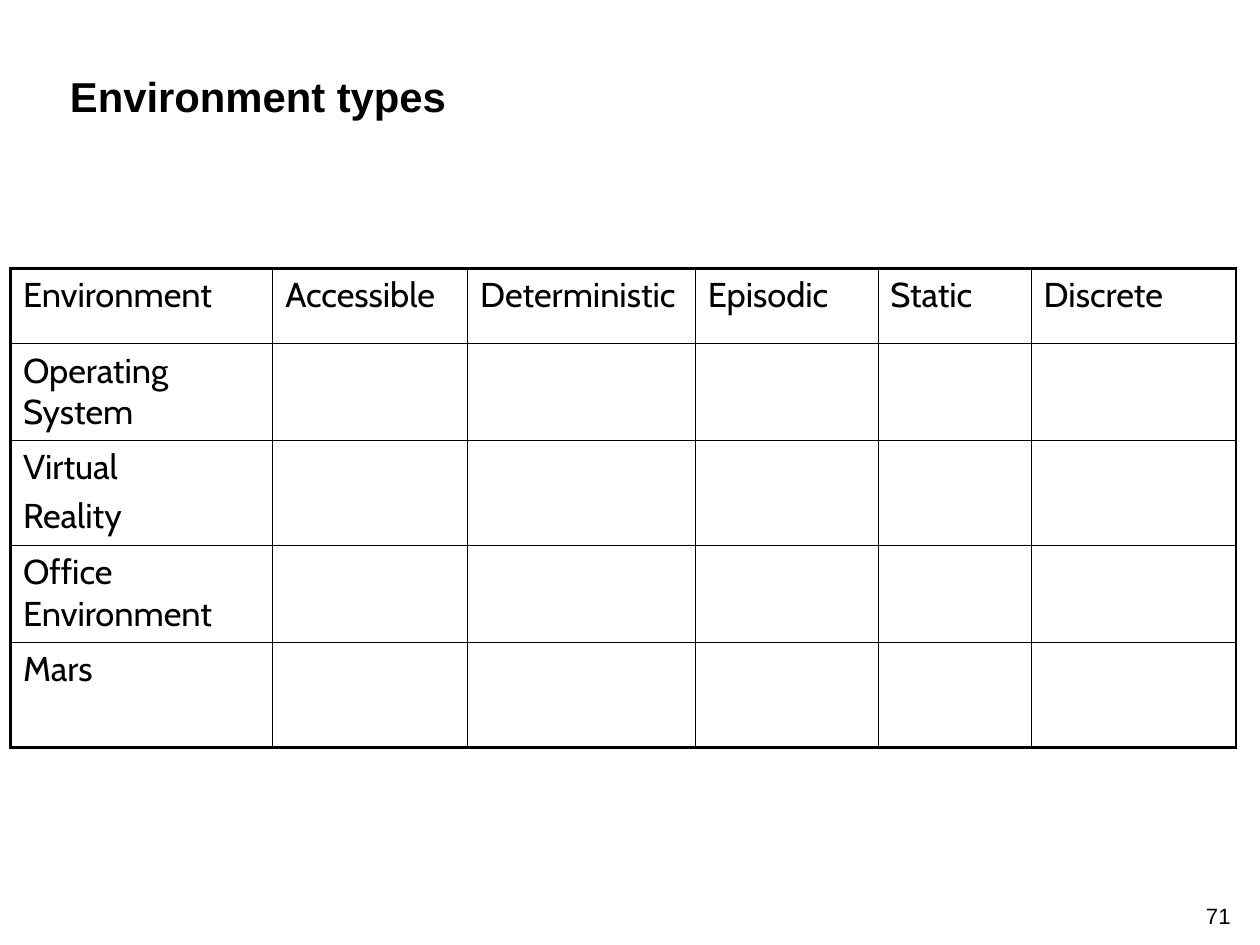
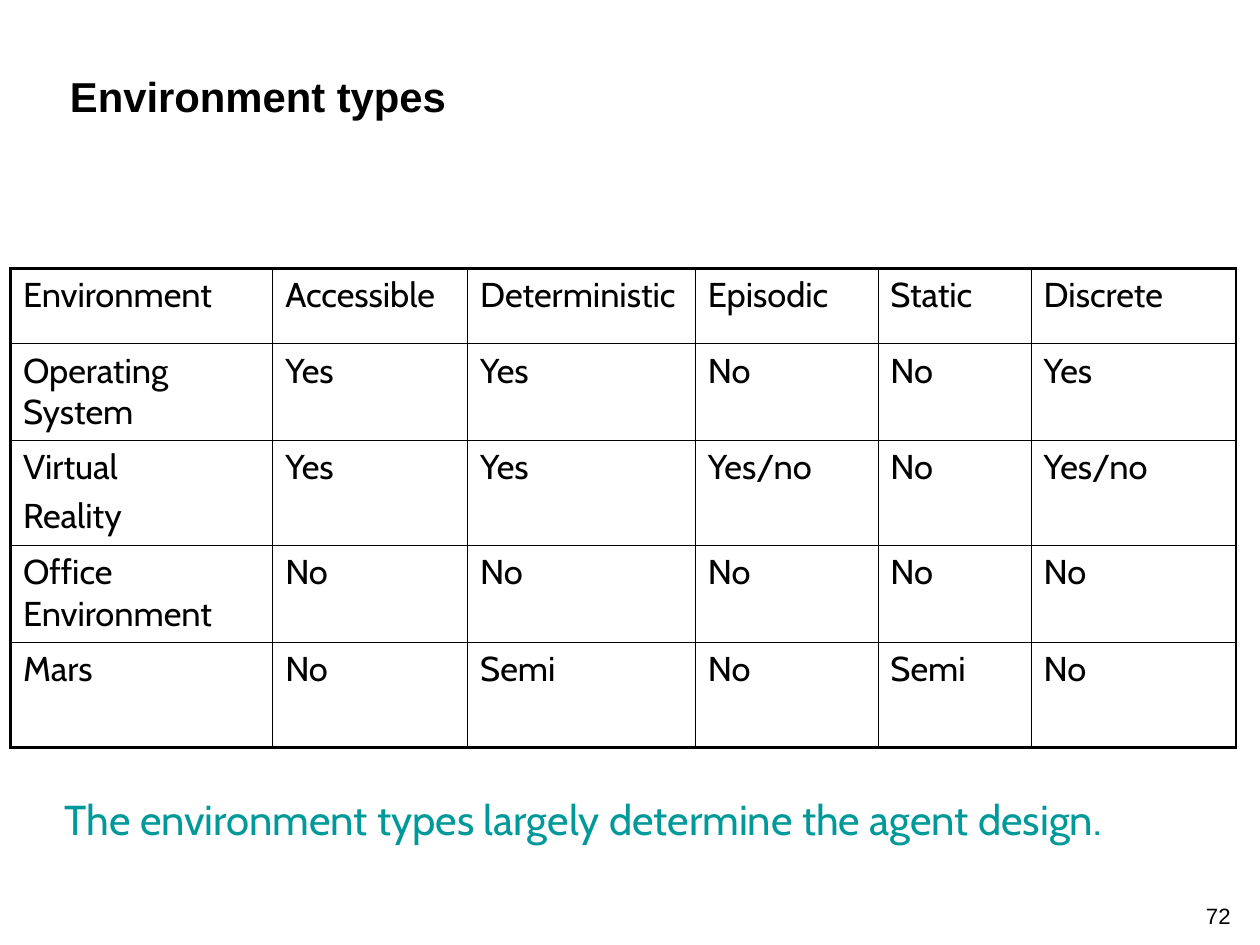
from dataclasses import dataclass

from lxml.etree import SubElement
from pptx import Presentation
from pptx.dml.color import RGBColor
from pptx.enum.text import MSO_ANCHOR, MSO_AUTO_SIZE, PP_ALIGN
from pptx.oxml.ns import qn
from pptx.util import Emu, Pt

PX = 9144  # EMU in one px: 100 px to the inch


@dataclass(frozen=True)
class Theme:
    ink: str = "000000"
    accent: str = "009999"
    heading_font: str = "Arial"
    body_font: str = "Cabin"
    title_size: int = 34
    table_size: int = 28
    number_size: int = 18
    inner_line: float = 1
    outer_line: float = 2.25


THEME = Theme()

# Table grid and wording
TABLE_LEFT, TABLE_TOP = 12, 303
COLUMN_WIDTHS = [296, 220, 257, 206, 173, 231]
ROW_HEIGHTS = [85, 109, 119, 109, 119]
CELL_INSETS = (14, 7, 14, 7)
HEADINGS = ["Environment", "Accessible", "Deterministic", "Episodic", "Static", "Discrete"]
ENVIRONMENTS = ["Operating System", "Virtual\nReality", "Office Environment", "Mars"]
ANSWERS = [
    ["Yes", "Yes", "No", "No", "Yes"],
    ["Yes", "Yes", "Yes/no", "No", "Yes/no"],
    ["No", "No", "No", "No", "No"],
    ["No", "Semi", "No", "Semi", "No"],
]
BLANKS = [[""] * 5] * 4


def px(length):
    return Emu(length * PX)


def write_text(frame, text, *, size, font=THEME.body_font, color=THEME.ink,
               bold=False, align=PP_ALIGN.LEFT, gap=0):
    """Write one paragraph per line; gap is the space between them in points."""
    for index, line in enumerate(text.split("\n")):
        paragraph = frame.add_paragraph() if index else frame.paragraphs[0]
        paragraph.alignment = align
        paragraph.space_before = Pt(gap if index else 0)
        run = paragraph.add_run()
        run.text = line
        run.font.name = font
        run.font.size = Pt(size)
        run.font.bold = bold
        run.font.color.rgb = RGBColor.from_string(color)


def set_insets(target, insets):
    """Set the margins of a text frame or a table cell."""
    sides = ("margin_left", "margin_top", "margin_right", "margin_bottom")
    for side, inset in zip(sides, insets):
        setattr(target, side, px(inset))


def set_border(cell, side, width, color):
    properties = cell._tc.get_or_add_tcPr()
    line = SubElement(properties, qn(f"a:ln{side}"), w=str(Pt(width)))
    fill = SubElement(line, qn("a:solidFill"))
    SubElement(fill, qn("a:srgbClr"), val=color)


class Deck:
    """Holds the presentation, its style and the current slide."""

    def __init__(self, theme, width, height):
        self.theme = theme
        self.presentation = Presentation()
        self.presentation.slide_width = px(width)
        self.presentation.slide_height = px(height)
        self.slide = None

    def add_slide(self, title, number):
        layout = self.presentation.slide_layouts.get_by_name("Title Only")
        self.slide = self.presentation.slides.add_slide(layout)
        self.add_title(title)
        self.add_number(number)

    def add_title(self, text):
        shape = self.slide.shapes.title
        shape.left, shape.top, shape.width, shape.height = map(px, (73, 36, 1268, 107))
        frame = shape.text_frame
        frame.auto_size = MSO_AUTO_SIZE.NONE
        frame.vertical_anchor = MSO_ANCHOR.BOTTOM
        set_insets(frame, (6, 6, 12, 6))
        write_text(frame, text, size=self.theme.title_size,
                   font=self.theme.heading_font, bold=True)

    def add_number(self, number):
        frame = self.slide.shapes.add_textbox(*map(px, (1355, 1015, 40, 39))).text_frame
        frame.word_wrap = False
        frame.vertical_anchor = MSO_ANCHOR.BOTTOM
        # No side insets, so that both digits fit on one line
        set_insets(frame, (0, 5, 0, 5))
        write_text(frame, str(number), size=self.theme.number_size,
                   font=self.theme.heading_font, align=PP_ALIGN.CENTER)

    def add_caption(self, text):
        frame = self.slide.shapes.add_textbox(*map(px, (59, 889, 1280, 71))).text_frame
        frame.word_wrap = True
        frame.auto_size = MSO_AUTO_SIZE.SHAPE_TO_FIT_TEXT
        set_insets(frame, CELL_INSETS)
        write_text(frame, text, size=self.theme.title_size, color=self.theme.accent)

    def add_table(self, rows):
        row_count, column_count = len(rows), len(rows[0])
        table = self.slide.shapes.add_table(
            row_count, column_count, px(TABLE_LEFT), px(TABLE_TOP),
            px(sum(COLUMN_WIDTHS)), px(sum(ROW_HEIGHTS))).table
        table.first_row = table.horz_banding = False
        for column, width in zip(table.columns, COLUMN_WIDTHS):
            column.width = px(width)
        for row, height in zip(table.rows, ROW_HEIGHTS):
            row.height = px(height)
        for row_index, row in enumerate(rows):
            for column_index, text in enumerate(row):
                cell = table.cell(row_index, column_index)
                set_insets(cell, CELL_INSETS)
                if text:
                    write_text(cell.text_frame, text, size=self.theme.table_size,
                               gap=0.2 * self.theme.table_size)
                # Thick lines run only along the outside of the table
                outside = {"L": column_index == 0, "R": column_index == column_count - 1,
                           "T": row_index == 0, "B": row_index == row_count - 1}
                for side, is_outer in outside.items():
                    width = self.theme.outer_line if is_outer else self.theme.inner_line
                    set_border(cell, side, width, self.theme.ink)
                cell.fill.background()


def main():
    deck = Deck(THEME, 1422, 1067)
    # The question first, then the answers
    for number, answers in enumerate([BLANKS, ANSWERS], start=71):
        deck.add_slide("Environment types", number)
        deck.add_table([HEADINGS] + [[name] + row for name, row in zip(ENVIRONMENTS, answers)])
    deck.add_caption("The environment types largely determine the agent design.")
    deck.presentation.save("out.pptx")


if __name__ == "__main__":
    main()
